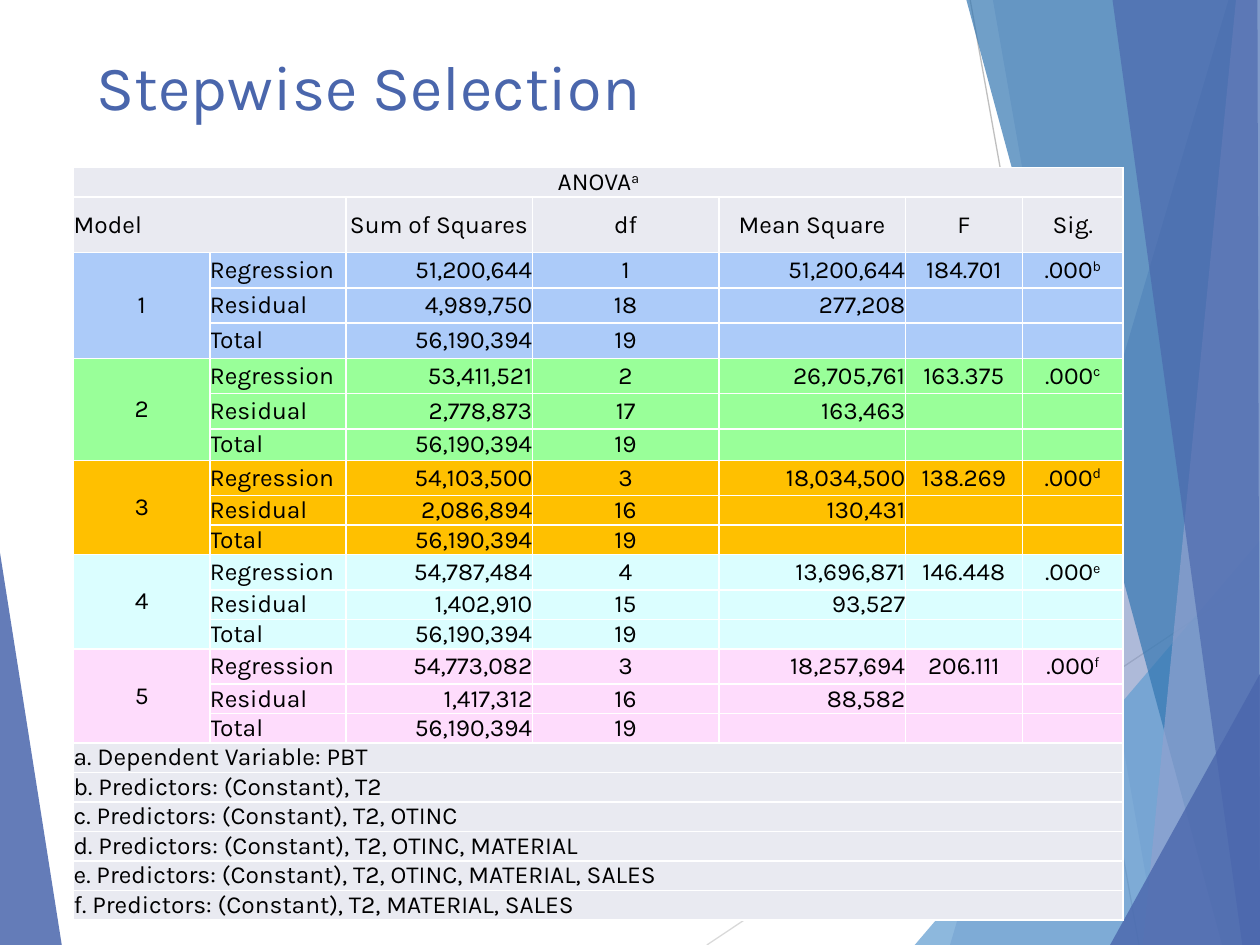
from lxml.etree import SubElement
from pptx import Presentation
from pptx.dml.color import RGBColor
from pptx.enum.shapes import MSO_CONNECTOR
from pptx.enum.text import MSO_ANCHOR as Anchor, PP_ALIGN as Align
from pptx.oxml.ns import qn
from pptx.util import Inches, Pt

WIDTH, HEIGHT = Inches(10), Inches(7.5)
FONT = "Karla"
BLUE, GREY, WHITE, BLACK = "4A66AC", "E9EAF1", "FFFFFF", "000000"

LINES = [((56.1, 100), (100, 60.9), "D9D9D9"), ((77, 0), (90.4, 100), "BFBFBF")]
LEFT_WEDGE = ([(0, 58.5), (4.9, 100), (0, 100)], BLUE, 85)
RIGHT_FACETS = [
    ([(97.5, 0), (75.4, 100), (100, 100), (100, 0)], BLUE, 30),
    ([(78.8, 0), (91.9, 100), (100, 100), (100, 0)], BLUE, 20),
    ([(72.6, 100), (100, 57.2), (100, 100)], "629DD1", 72),
    ([(76.7, 0), (97, 100), (100, 100), (100, 0)], "3477B2", 70),
    ([(98.1, 0), (90.7, 100), (100, 100), (100, 0)], "90A2CF", 70),
    ([(88.3, 0), (98.6, 100), (100, 100), (99.8, 0)], BLUE, 65),
    ([(88.1, 100), (100, 71.3), (100, 100)], BLUE, 80),
]

COLUMNS = [1.08, 1.08, 1.48, 1.48, 1.48, 0.93, 0.8]
ALIGNS = [Align.CENTER, Align.LEFT, Align.RIGHT, Align.CENTER, Align.RIGHT, Align.CENTER, Align.CENTER]
HEADERS = ["Sum of Squares", "df", "Mean Square", "F", "Sig."]
TOTAL = ["Total", "56,190,394", "19", "", "", ""]
MODELS = [
    ("ACCBF9", [0.28, 0.28, 0.28],
     ["51,200,644", "1", "51,200,644", "184.701", ".000^b"], ["4,989,750", "18", "277,208"]),
    ("99FF99", [0.28, 0.28, 0.25],
     ["53,411,521", "2", "26,705,761", "163.375", ".000^c"], ["2,778,873", "17", "163,463"]),
    ("FFC000", [0.28, 0.23, 0.23],
     ["54,103,500", "3", "18,034,500", "138.269", ".000^d"], ["2,086,894", "16", "130,431"]),
    ("DBFEFF", [0.28, 0.23, 0.23],
     ["54,787,484", "4", "13,696,871", "146.448", ".000^e"], ["1,402,910", "15", "93,527"]),
    ("FEDCFC", [0.28, 0.23, 0.23],
     ["54,773,082", "3", "18,257,694", "206.111", ".000^f"], ["1,417,312", "16", "88,582"]),
]
NOTES = [
    "a. Dependent Variable: PBT",
    "b. Predictors: (Constant), T2",
    "c. Predictors: (Constant), T2, OTINC",
    "d. Predictors: (Constant), T2, OTINC, MATERIAL",
    "e. Predictors: (Constant), T2, OTINC, MATERIAL, SALES",
    "f. Predictors: (Constant), T2, MATERIAL, SALES",
]
ROWS = [0.23, 0.44] + [height for model in MODELS for height in model[1]] + [0.23] * len(NOTES)


def color(code):
    """Turn a hex string into a colour."""
    return RGBColor.from_string(code)


def place(point):
    """Turn percentages of the slide into a position."""
    return int(WIDTH * point[0] / 100), int(HEIGHT * point[1] / 100)


def write(para, text, size, code, align=Align.LEFT):
    """Write text, raising whatever follows a caret."""
    para.alignment = align
    body, _, mark = text.partition("^")
    for part, raised in ((body, False), (mark, True)):
        if part:
            span = para.add_run()
            span.text = part
            for name, value in {"name": FONT, "size": Pt(size)}.items():
                setattr(span.font, name, value)
            span.font.color.rgb = color(code)
            if raised:
                span.font._element.set("baseline", "30000")
    if not text:
        SubElement(para._p, qn("a:endParaRPr"), sz=str(size * 100))


def add_facet(page, points, code, opacity):
    """Add a translucent polygon."""
    first, *rest = [place(point) for point in points]
    builder = page.shapes.build_freeform(*first)
    builder.add_line_segments(rest, close=True)
    shape = builder.convert_to_shape()
    shape.shadow.inherit = False
    shape.fill.solid()
    shape.fill.fore_color.rgb = color(code)
    shape.line.fill.background()
    tint = shape._element.spPr.find(qn("a:solidFill"))[0]
    SubElement(tint, qn("a:alpha"), val=str(opacity * 1000))


def add_line(page, start, end, code):
    """Add a thin straight line."""
    line = page.shapes.add_connector(MSO_CONNECTOR.STRAIGHT, *place(start), *place(end))
    line.line.color.rgb = color(code)
    line.line.width = Pt(0.75)
    SubElement(line._element.spPr, qn("a:effectLst"))


def add_title(page, text):
    """Add the slide heading."""
    box = page.shapes.add_textbox(*place((6.7, 4.4)), *place((69.4, 13.3)))
    box.text_frame.word_wrap = True
    box.text_frame.vertical_anchor = Anchor.TOP
    write(box.text_frame.paragraphs[0], text, 36, BLUE)


def style_cell(cell, code):
    """Give a cell white borders, a fill and no margins."""
    props = cell._tc.get_or_add_tcPr()
    for side in "LRTB":
        border = SubElement(props, qn(f"a:ln{side}"), w=str(Pt(1)))
        SubElement(SubElement(border, qn("a:solidFill")), qn("a:srgbClr"), val=WHITE)
    cell.fill.solid()
    cell.fill.fore_color.rgb = color(code)
    for side in ("left", "right", "top", "bottom"):
        setattr(cell, f"margin_{side}", 0)
    cell.vertical_anchor = Anchor.MIDDLE


def table_content():
    """List each row as its fill, texts and alignments."""
    blank = [""] * 6
    centered = [Align.CENTER] * 7
    yield GREY, ["ANOVA^a"] + blank, centered
    yield GREY, ["Model", ""] + HEADERS, [Align.LEFT] + centered[1:]
    for number, (code, _, regression, residual) in enumerate(MODELS, 1):
        yield code, [str(number), "Regression"] + regression, ALIGNS
        yield code, ["", "Residual"] + residual + ["", ""], ALIGNS
        yield code, [""] + TOTAL, ALIGNS
    for note in NOTES:
        yield GREY, [note] + blank, [Align.LEFT] * 7


def add_anova(page):
    """Add the table of variance for the five models."""
    frame = page.shapes.add_table(len(ROWS), len(COLUMNS), *place((5.85, 17.75)),
                                  Inches(sum(COLUMNS)), Inches(sum(ROWS)))
    table = frame.table
    table.first_row = table.horz_banding = False
    for column, width in zip(table.columns, COLUMNS):
        column.width = Inches(width)
    for row, height in zip(table.rows, ROWS):
        row.height = Inches(height)
    for row, (code, texts, aligns) in zip(table.rows, table_content()):
        for cell, text, align in zip(row.cells, texts, aligns):
            style_cell(cell, code)
            write(cell.text_frame.paragraphs[0], text, 14, BLACK, align)
    notes_start = len(ROWS) - len(NOTES)
    for row in [0, *range(notes_start, len(ROWS))]:
        table.cell(row, 0).merge(table.cell(row, len(COLUMNS) - 1))
    table.cell(1, 0).merge(table.cell(1, 1))
    for row in range(2, notes_start, 3):
        table.cell(row, 0).merge(table.cell(row + 2, 0))


def main():
    """Build the slide and save it."""
    deck = Presentation()
    deck.slide_width, deck.slide_height = WIDTH, HEIGHT
    page = deck.slides.add_slide(deck.slide_layouts[6])
    add_facet(page, *LEFT_WEDGE)
    for line in LINES:
        add_line(page, *line)
    for facet in RIGHT_FACETS:
        add_facet(page, *facet)
    add_title(page, "Stepwise Selection")
    add_anova(page)
    deck.save("out.pptx")


if __name__ == "__main__":
    main()
